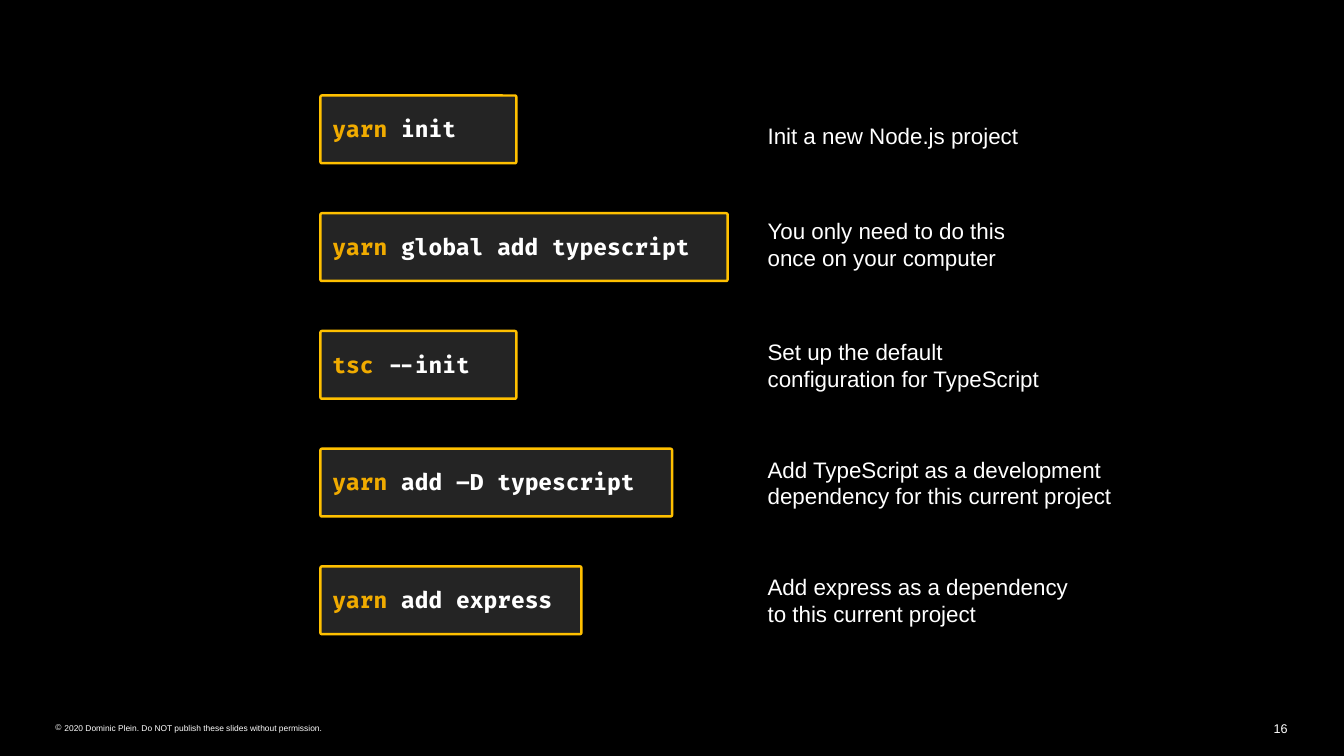
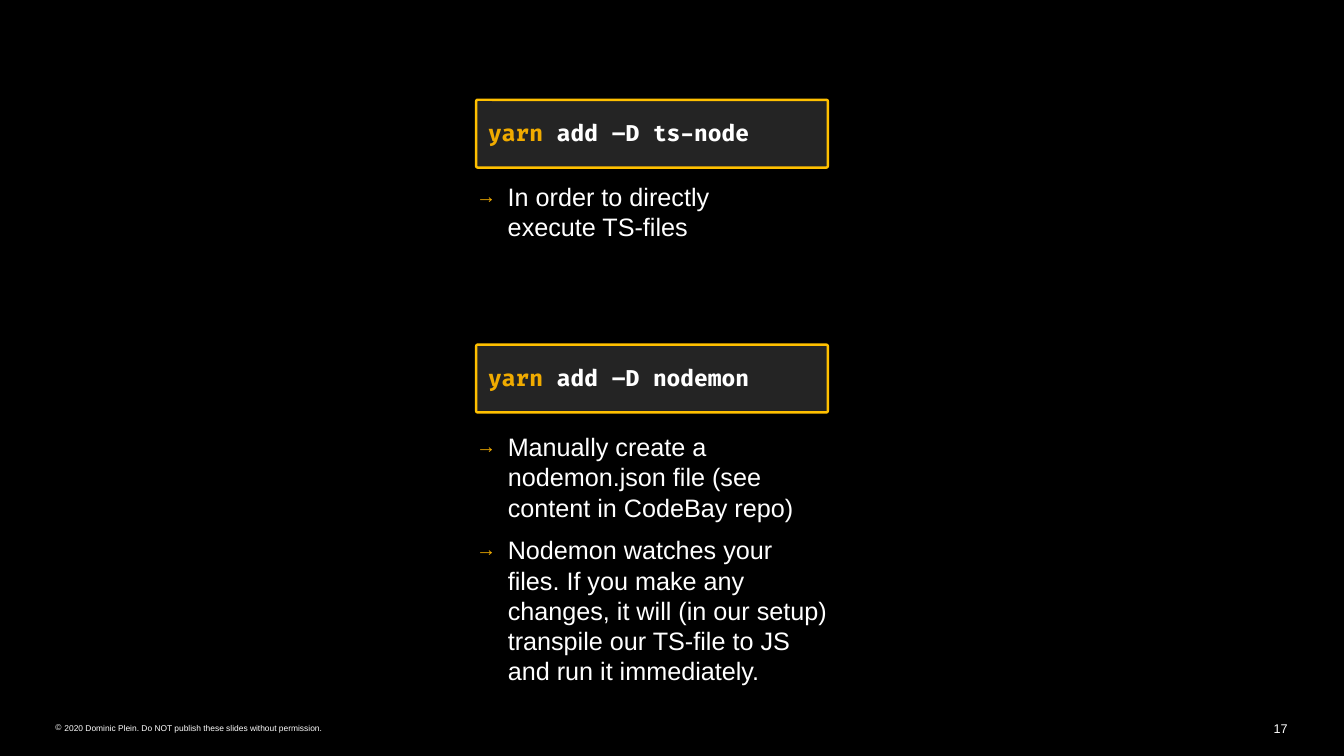
from dataclasses import dataclass

from lxml.etree import SubElement
from pptx import Presentation
from pptx.dml.color import RGBColor
from pptx.enum.shapes import MSO_SHAPE
from pptx.enum.text import MSO_ANCHOR, PP_ALIGN
from pptx.oxml.ns import qn
from pptx.util import Pt


@dataclass(frozen=True)
class Theme:
    background: str = "000000"
    panel: str = "262626"
    border: str = "FFC000"
    accent: str = "F0AB00"
    text: str = "FFFFFF"
    body_font: str = "Arial"
    code_font: str = "Fira Code"
    code_size: float = 16
    caption_size: float = 16
    bullet_size: float = 18
    page_size: float = 9
    copyright_size: float = 6


THEME = Theme()
SLIDE_WIDTH, SLIDE_HEIGHT = 960.48, 540
COMMAND_HEIGHT = 48.4


def add_run(paragraph, text, *, size, color=THEME.text, font=THEME.body_font, bold=False):
    run = paragraph.add_run()
    run.text = text
    run.font.name = font
    run.font.size = Pt(size)
    run.font.bold = bold
    run.font.color.rgb = RGBColor.from_string(color)


def add_bullet(paragraph, char, color, indent, percent=100):
    properties = paragraph._p.get_or_add_pPr()
    properties.set("marL", str(Pt(indent)))
    properties.set("indent", str(-Pt(indent)))
    bullet_color = SubElement(properties, qn("a:buClr"))
    SubElement(bullet_color, qn("a:srgbClr"), val=color)
    SubElement(properties, qn("a:buSzPct"), val=str(percent * 1000))
    SubElement(properties, qn("a:buFont"), typeface=THEME.body_font)
    SubElement(properties, qn("a:buChar"), char=char)


class Deck:
    def __init__(self, theme):
        self.theme = theme
        self.presentation = Presentation()
        self.presentation.slide_width = Pt(SLIDE_WIDTH)
        self.presentation.slide_height = Pt(SLIDE_HEIGHT)
        self.slide = None

    def new_slide(self, number):
        layout = self.presentation.slide_layouts[6]
        self.slide = self.presentation.slides.add_slide(layout)
        background = self.slide.background.fill
        background.solid()
        background.fore_color.rgb = RGBColor.from_string(self.theme.background)
        self.footer(number)

    def text_frame(self, left, top, width, height, anchor=MSO_ANCHOR.TOP):
        frame = self.slide.shapes.add_textbox(Pt(left), Pt(top), Pt(width), Pt(height)).text_frame
        frame.margin_left = frame.margin_right = frame.margin_top = frame.margin_bottom = 0
        frame.word_wrap = True
        frame.vertical_anchor = anchor
        return frame

    def footer(self, number):
        page = self.text_frame(890, 514.8, 30.2, 10.8).paragraphs[0]
        page.alignment = PP_ALIGN.RIGHT
        add_run(page, str(number), size=self.theme.page_size)

        notice = self.text_frame(39.6, 516.4, 200, 7.2).paragraphs[0]
        add_bullet(notice, "©", self.theme.text, 6.5)
        add_run(notice, "2020 Dominic Plein. Do NOT publish these slides without permission.",
                size=self.theme.copyright_size)

    def command(self, left, top, width, program, arguments):
        panel = self.slide.shapes.add_shape(
            MSO_SHAPE.ROUNDED_RECTANGLE, Pt(left), Pt(top), Pt(width), Pt(COMMAND_HEIGHT))
        panel.adjustments[0] = 0.022
        panel.shadow.inherit = False
        panel.fill.solid()
        panel.fill.fore_color.rgb = RGBColor.from_string(self.theme.panel)
        fill_color = panel._element.spPr.find(qn("a:solidFill")).find(qn("a:srgbClr"))
        SubElement(fill_color, qn("a:alpha"), val="95000")
        panel.line.color.rgb = RGBColor.from_string(self.theme.border)
        panel.line.width = Pt(1.75)

        frame = panel.text_frame
        frame.margin_left = Pt(8.3)
        frame.margin_right = frame.margin_top = 0
        frame.margin_bottom = Pt(1)
        frame.word_wrap = False
        frame.vertical_anchor = MSO_ANCHOR.MIDDLE
        line = frame.paragraphs[0]
        line.alignment = PP_ALIGN.LEFT
        style = dict(size=self.theme.code_size, font=self.theme.code_font, bold=True)
        add_run(line, program + " ", color=self.theme.accent, **style)
        add_run(line, arguments, **style)

    def caption(self, left, top, width, text):
        frame = self.text_frame(left, top, width, COMMAND_HEIGHT, MSO_ANCHOR.MIDDLE)
        add_run(frame.paragraphs[0], text, size=self.theme.caption_size)

    def bullets(self, left, top, width, height, items):
        frame = self.text_frame(left, top, width, height)
        for index, item in enumerate(items):
            paragraph = frame.add_paragraph() if index else frame.paragraphs[0]
            add_bullet(paragraph, "→", self.theme.accent, 22.6, percent=80)
            if index:
                paragraph.space_before = Pt(9)
            add_run(paragraph, item, size=self.theme.bullet_size)


def build_setup_commands(deck):
    deck.new_slide(16)
    # Program, arguments, panel width, caption, caption width, caption shift
    steps = [
        ("yarn", "init", 140, "Init a new Node.js project", 199, 4.3),
        ("yarn", "global add typescript", 291,
         "You only need to do this once on your computer", 174.5, -2),
        ("tsc", "--init", 140, "Set up the default configuration for TypeScript", 217.5, 0),
        ("yarn", "add –D typescript", 251.3,
         "Add TypeScript as a development dependency for this current project", 251.5, 0),
        ("yarn", "add express", 186.5,
         "Add express as a dependency to this current project", 228, 0),
    ]
    for row, (program, arguments, width, caption, caption_width, shift) in enumerate(steps):
        top = 68.2 + row * 84.1
        deck.command(229, top, width, program, arguments)
        deck.caption(548.6, top + shift, caption_width, caption)


def build_dev_tools(deck):
    deck.new_slide(17)
    left, width = 340.3, 251.3
    # Command top, package, bullet top, bullet width, bullet height, bullets
    tools = [
        (71.3, "ts-node", 129.6, 232.6, 44, ["In order to directly execute TS-files"]),
        (246.2, "nodemon", 308.2, width, 185, [
            "Manually create a nodemon.json file (see content in CodeBay repo)",
            "Nodemon watches your files. If you make any changes, it will (in our setup) "
            "transpile our TS-file to JS and run it immediately.",
        ]),
    ]
    for top, package_name, notes_top, notes_width, notes_height, notes in tools:
        deck.command(left, top, width, "yarn", "add –D " + package_name)
        deck.bullets(left, notes_top, notes_width, notes_height, notes)


def main():
    deck = Deck(THEME)
    build_setup_commands(deck)
    build_dev_tools(deck)
    deck.presentation.save("out.pptx")


if __name__ == "__main__":
    main()
